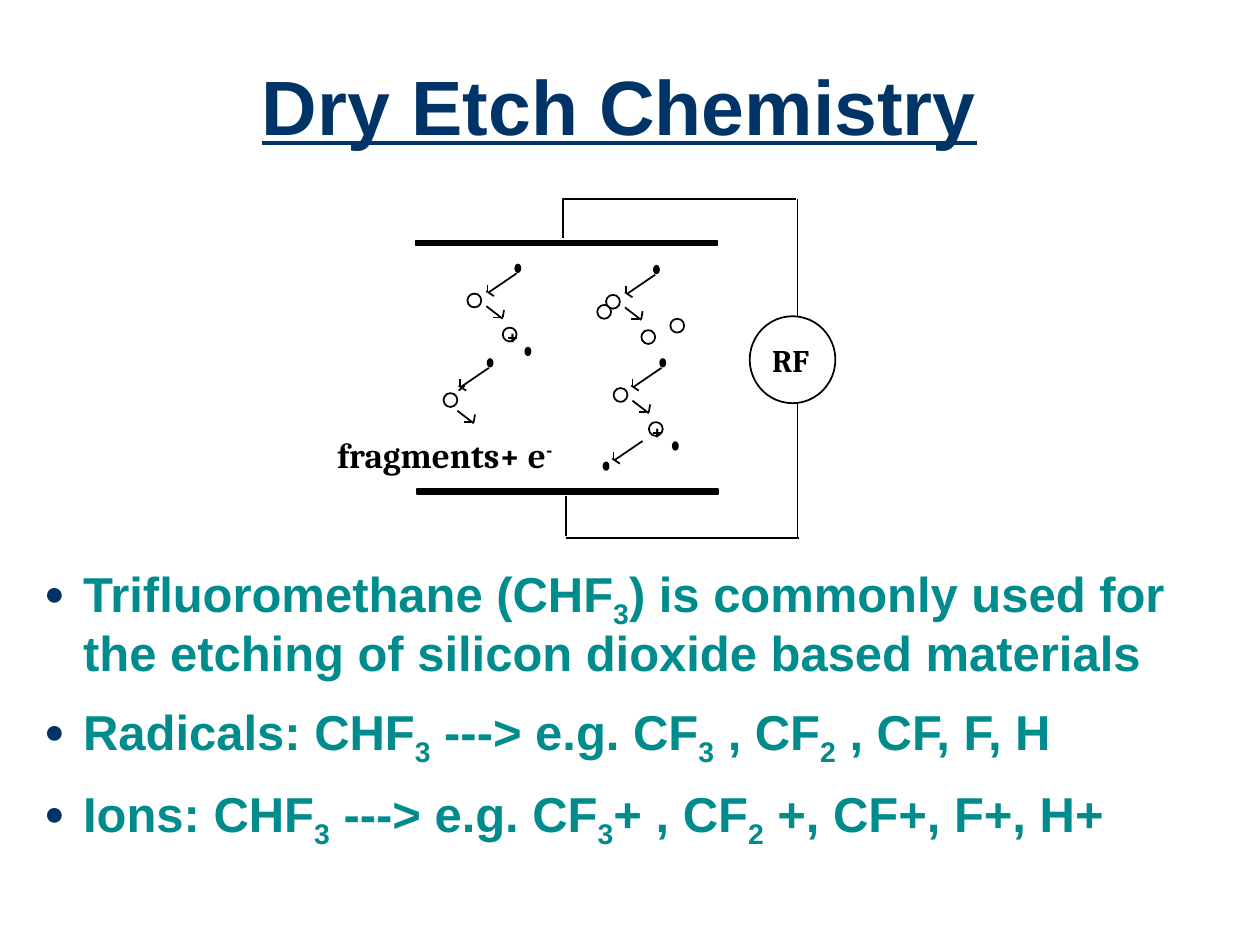
"""Build the Dry Etch Chemistry slide with its plasma reactor diagram."""
from lxml import etree
from pptx import Presentation
from pptx import util as u
from pptx.dml.color import RGBColor
from pptx.enum import shapes, text
from pptx.oxml.ns import qn

W, H = 10, 7.5
BLACK, NAVY, TEAL = "000000", "003366", "008C8C"

TITLE = "Dry Etch Chemistry"
BULLETS = [
    "Trifluoromethane (CHF|_3|) is commonly used for the etching of silicon dioxide based materials",
    "Radicals: CHF|_3| ---> e.g. CF|_3| , CF|_2| , CF, F, H",
    "Ions: CHF|_3| ---> e.g. CF|_3|+ , CF|_2| +, CF+, F+, H+",
]
LABELS = [
    ("+", 3.92, 2.52, 0.3, 0.3, 12),
    ("+", 5.07, 3.27, 0.3, 0.3, 12),
    ("fragments+ e|^-", 2.58, 3.39, 2.09, 0.77, 20),
    ("RF", 6.03, 2.66, 0.53, 0.4, 18),
]
ELECTRODES = [(3.3, 1.91), (3.31, 3.88)]
TOP_WIRE = [(4.47, 1.89), (4.47, 1.58), (6.32, 1.58)]
WIRES = [(4.49, 4.25, 4.49, 3.94), (6.34, 4.27, 4.49, 4.27),
         (6.33, 1.58, 6.33, 2.68), (6.33, 4.26, 6.33, 3)]
MOLECULES = [(3.71, 2.33), (3.99, 2.6), (3.52, 3.12), (4.81, 2.34), (4.74, 2.42),
             (5.09, 2.62), (5.32, 2.53), (4.87, 3.08), (5.15, 3.35)]
FREED_ELECTRONS = [(4.17, 2.76), (5.34, 3.51), (4.79, 3.67)]
HITS = [(3.87, 2.31), (4.97, 2.32), (5.02, 3.06), (3.65, 3.06)]
ION_PATH = (4.87, 3.64)
PRODUCTS = [(3.86, 2.43), (4.96, 2.44), (5.02, 3.18), (3.63, 3.26)]
HIT_STROKES = [(0.23, -0.14, 0.01, 0.01), (0, 0, 0, -0.05), (-0.01, 0, 0.05, 0.04)]
PRODUCT_STROKES = [(0, 0, 0.13, 0.1), (0.13, 0.09, 0.14, 0.03), (0.11, 0.09, 0.05, 0.09)]
ELECTRON_OFFSET = (0.22, -0.21)


def rgb(value):
    """Turn a hex string into a colour."""
    return RGBColor.from_string(value)


def write(p, content, size, color, font, underline=None):
    """Add bold runs; pieces after a bar may be subscript or superscript."""
    for piece in content.split("|"):
        base = {"_": "-25000", "^": "30000"}.get(piece[0])
        r = p.add_run()
        r.text = piece[1:] if base else piece
        r.font.size, r.font.name = u.Pt(size), font
        r.font.bold, r.font.underline = True, underline
        r.font.color.rgb = rgb(color)
        if base:
            r.font._element.set("baseline", base)


def place(sp, *box):
    """Move and size a placeholder in inches."""
    sp.left, sp.top, sp.width, sp.height = map(u.Inches, box)


def outline(sp, fill=None):
    """Give a shape a thin black line and an optional fill."""
    sp.shadow.inherit = False
    sp.line.color.rgb, sp.line.width = rgb(BLACK), u.Pt(1)
    if fill:
        sp.fill.solid()
        sp.fill.fore_color.rgb = rgb(fill)
    else:
        sp.fill.background()


def shape(slide, kind, x, y, w, h, fill=None):
    """Add an outlined preset shape."""
    outline(slide.shapes.add_shape(kind, *map(u.Inches, (x, y, w, h))), fill)


def line(slide, *ends):
    """Add a thin black line."""
    c = slide.shapes.add_connector(shapes.MSO_CONNECTOR.STRAIGHT, *map(u.Inches, ends))
    c.line.color.rgb, c.line.width = rgb(BLACK), u.Pt(1)
    etree.SubElement(c._element.spPr, qn("a:effectLst"))


def strokes(slide, origins, pattern):
    """Draw the same arrow strokes at every origin."""
    for x, y in origins:
        for x1, y1, x2, y2 in pattern:
            line(slide, x + x1, y + y1, x + x2, y + y2)


def label(slide, content, x, y, w, h, size):
    """Add an unwrapped diagram label."""
    tf = slide.shapes.add_textbox(*map(u.Inches, (x, y, w, h))).text_frame
    tf.word_wrap = False
    write(tf.paragraphs[0], content, size, BLACK, "Cambria")


def bullet(p):
    """Set the hanging indent and the small navy bullet."""
    pPr = p._p.get_or_add_pPr()
    indent = u.Inches(0.31)
    pPr.set("marL", str(indent))
    pPr.set("indent", str(-indent))
    color = etree.SubElement(pPr, qn("a:buClr"))
    etree.SubElement(color, qn("a:srgbClr"), val=NAVY)
    etree.SubElement(pPr, qn("a:buSzPct"), val="70000")
    etree.SubElement(pPr, qn("a:buFont"), typeface="Arial")
    etree.SubElement(pPr, qn("a:buChar"), char="●")


def draw_reactor(slide):
    """Draw electrodes, circuit, particles and collisions."""
    oval = shapes.MSO_SHAPE.OVAL
    for x, y in ELECTRODES:
        shape(slide, shapes.MSO_SHAPE.RECTANGLE, x, y, 2.39, 0.04, BLACK)
    start, *rest = [tuple(map(u.Inches, point)) for point in TOP_WIRE]
    builder = slide.shapes.build_freeform(*start)
    builder.add_line_segments(rest, close=False)
    outline(builder.convert_to_shape())
    for wire in WIRES:
        line(slide, *wire)
    for x, y in MOLECULES:
        shape(slide, oval, x, y, 0.11, 0.11)
    dx, dy = ELECTRON_OFFSET
    for x, y in FREED_ELECTRONS + [(x + dx, y + dy) for x, y in HITS]:
        shape(slide, oval, x, y, 0.04, 0.06, BLACK)
    strokes(slide, HITS + [ION_PATH], HIT_STROKES)
    strokes(slide, PRODUCTS, PRODUCT_STROKES)
    line(slide, 3.69, 3.06, 3.64, 3.1)
    shape(slide, oval, 5.95, 2.51, 0.68, 0.69, "FFFFFF")
    for item in LABELS:
        label(slide, *item)


def main():
    """Assemble and save the slide."""
    prs = Presentation()
    prs.slide_width, prs.slide_height = u.Inches(W), u.Inches(H)
    slide = prs.slides.add_slide(prs.slide_layouts[1])
    draw_reactor(slide)
    title, body = slide.placeholders
    place(title, 0.25, 0.25, 9.33, 1.25)
    place(body, 0.25, 4.42, 9.33, 2.5)
    for sp, anchor in ((title, text.MSO_ANCHOR.MIDDLE), (body, text.MSO_ANCHOR.TOP)):
        sp.text_frame.auto_size = text.MSO_AUTO_SIZE.NONE
        sp.text_frame.vertical_anchor = anchor
    p = title.text_frame.paragraphs[0]
    p.alignment, p.line_spacing = text.PP_ALIGN.CENTER, 0.9
    write(p, TITLE, 44, NAVY, "Arial", underline=True)
    tf = body.text_frame
    for i, content in enumerate(BULLETS):
        p = tf.add_paragraph() if i else tf.paragraphs[0]
        p.line_spacing, p.space_before = 0.95, u.Pt(10.5)
        bullet(p)
        write(p, content, 28, TEAL, "Arial")
    prs.save("out.pptx")


if __name__ == "__main__":
    main()
